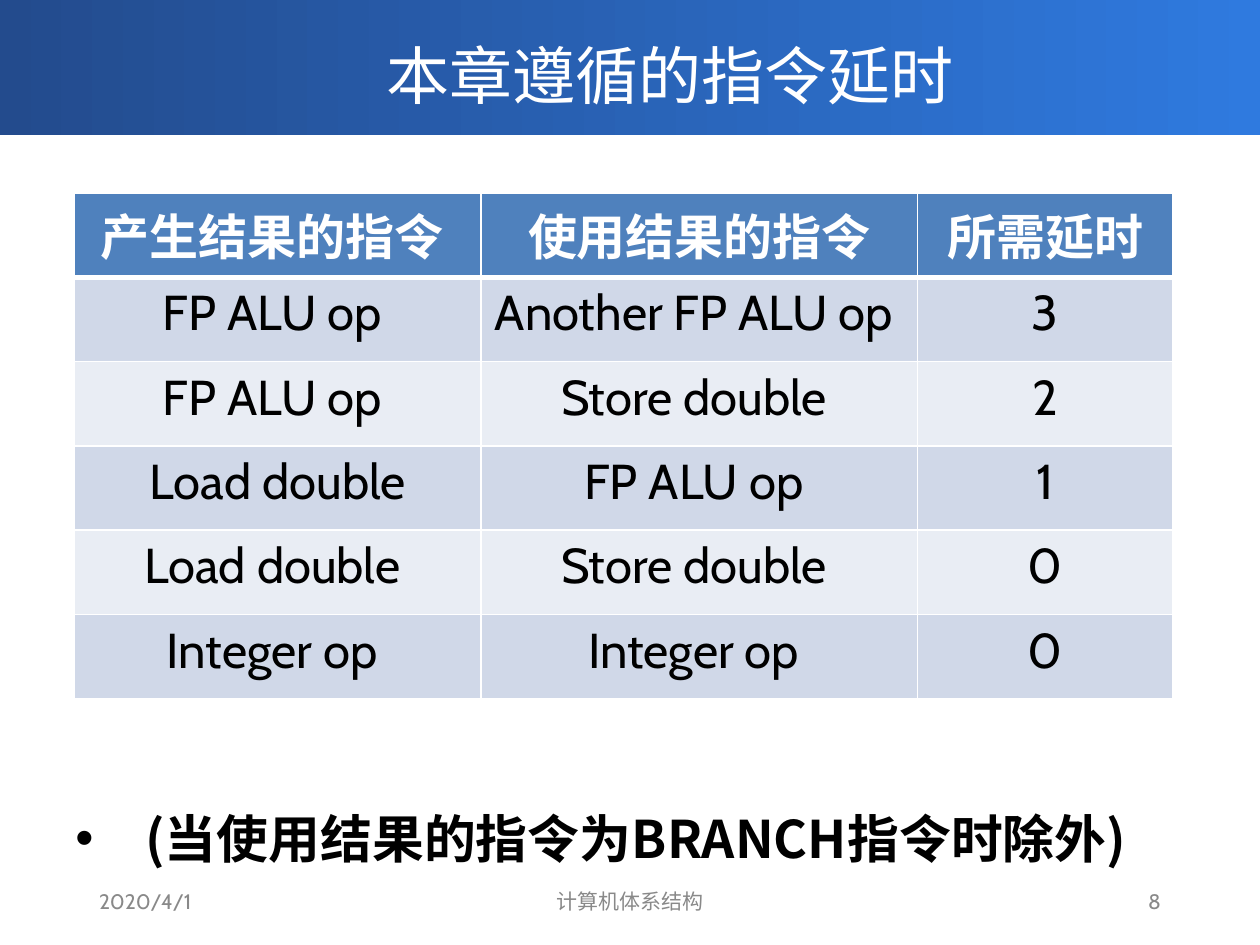
from lxml.etree import SubElement
from pptx import Presentation
from pptx.dml.color import RGBColor
from pptx.enum.shapes import MSO_SHAPE
from pptx.enum.text import MSO_ANCHOR, PP_ALIGN
from pptx.oxml import parse_xml
from pptx.oxml.ns import nsdecls, qn
from pptx.util import Pt

TITLE = "本章遵循的指令延时"
ROWS = [
    ("产生结果的指令 ", "使用结果的指令", "所需延时"),
    ("FP ALU op ", "Another FP ALU op ", "3"),
    ("FP ALU op ", "Store double ", "2"),
    ("Load double", "FP ALU op ", "1"),
    ("Load double ", "Store double ", "0"),
    ("Integer op ", "Integer op ", "0"),
]
NOTE = "(当使用结果的指令为BRANCH指令时除外)"
FOOTERS = [  # text, left, width, alignment
    ("2020/4/1", 49.5, 162, PP_ALIGN.LEFT),
    ("计算机体系结构", 238.5, 243, PP_ALIGN.CENTER),
    ("8", 508.5, 162, PP_ALIGN.RIGHT),
]

COLORS = {
    "banner_start": "234B8D", "banner_end": "2F7ADF",
    "header": "4F81BD", "odd_row": "D0D8E8", "even_row": "E9EDF4",
    "white": "FFFFFF", "black": "000000", "footer": "898989",
}
LATIN, CHINESE = "Cabin", "Noto Sans CJK SC"
COLUMN_WIDTHS = [232.5, 249.2, 146.2]
ROW_HEIGHT = 48.2


def color(name):
    return RGBColor.from_string(COLORS[name])


def format_text(text_frame, size, color_name, font=LATIN, bold=False, alignment=PP_ALIGN.LEFT):
    for paragraph in text_frame.paragraphs:
        paragraph.alignment = alignment
        for run in paragraph.runs:
            run.font.size = Pt(size)
            run.font.bold = bold
            run.font.name = font
            run.font.color.rgb = color(color_name)
            SubElement(run.font._element, qn("a:ea"), typeface=CHINESE)


def add_text(slide, text, left, top, width, height):
    text_frame = slide.shapes.add_textbox(Pt(left), Pt(top), Pt(width), Pt(height)).text_frame
    text_frame.word_wrap = True
    text_frame.text = text
    return text_frame


def add_banner(slide):
    """Draw the gradient strip behind everything else."""
    banner = slide.shapes.add_shape(MSO_SHAPE.RECTANGLE, 0, 0, Pt(720), Pt(77))
    banner.shadow.inherit = False
    banner.line.fill.background()
    banner.fill.gradient()
    banner.fill.gradient_angle = 0
    for stop, name, position in zip(banner.fill.gradient_stops, ("banner_start", "banner_end"), (0, 1)):
        stop.color.rgb = color(name)
        stop.position = position
    slide.shapes._spTree.insert(2, banner._element)


def add_title(slide):
    title = slide.shapes.title
    title.left, title.top, title.width, title.height = Pt(81.4), Pt(11.5), Pt(602.6), Pt(62)
    title.text_frame.text = TITLE
    title.text_frame.vertical_anchor = MSO_ANCHOR.MIDDLE
    format_text(title.text_frame, 36, "white", CHINESE, alignment=PP_ALIGN.CENTER)


def set_borders(cell, bottom_width):
    properties = cell._tc.get_or_add_tcPr()
    widths = {"lnL": 1, "lnR": 1, "lnT": 1, "lnB": bottom_width}
    for index, (side, width) in enumerate(widths.items()):
        properties.insert(index, parse_xml(
            f'<a:{side} {nsdecls("a")} w="{Pt(width)}"><a:solidFill>'
            f'<a:srgbClr val="{COLORS["white"]}"/></a:solidFill></a:{side}>'))


def add_delay_table(slide):
    table = slide.shapes.add_table(
        len(ROWS), len(COLUMN_WIDTHS), Pt(42.5), Pt(110.2),
        Pt(sum(COLUMN_WIDTHS)), Pt(ROW_HEIGHT * len(ROWS))).table
    for column, width in zip(table.columns, COLUMN_WIDTHS):
        column.width = Pt(width)
    for row_index, texts in enumerate(ROWS):
        table.rows[row_index].height = Pt(ROW_HEIGHT)
        is_header = row_index == 0
        fill = "header" if is_header else "odd_row" if row_index % 2 else "even_row"
        for column_index, text in enumerate(texts):
            cell = table.cell(row_index, column_index)
            cell.text_frame.text = text
            format_text(cell.text_frame, 28, "white" if is_header else "black",
                        bold=is_header, alignment=PP_ALIGN.CENTER)
            cell.fill.solid()
            cell.fill.fore_color.rgb = color(fill)
            set_borders(cell, 3 if is_header else 1)


def add_note(slide):
    text_frame = add_text(slide, NOTE, 36, 457.2, 648, 40.3)
    properties = text_frame.paragraphs[0]._p.get_or_add_pPr()
    properties.set("marL", str(Pt(40)))
    properties.set("indent", str(Pt(-40)))
    SubElement(properties, qn("a:buFont"), typeface="Arial")
    SubElement(properties, qn("a:buChar"), char="•")
    format_text(text_frame, 29.6, "black", CHINESE, bold=True)


def add_footers(slide):
    for text, left, width, alignment in FOOTERS:
        text_frame = add_text(slide, text, left, 500.5, width, 28.8)
        text_frame.vertical_anchor = MSO_ANCHOR.MIDDLE
        format_text(text_frame, 12, "footer", alignment=alignment)


def main():
    presentation = Presentation()
    presentation.slide_width, presentation.slide_height = Pt(720), Pt(540)
    slide = presentation.slides.add_slide(presentation.slide_layouts[5])
    add_banner(slide)
    add_title(slide)
    add_delay_table(slide)
    add_note(slide)
    add_footers(slide)
    presentation.save("out.pptx")


if __name__ == "__main__":
    main()
